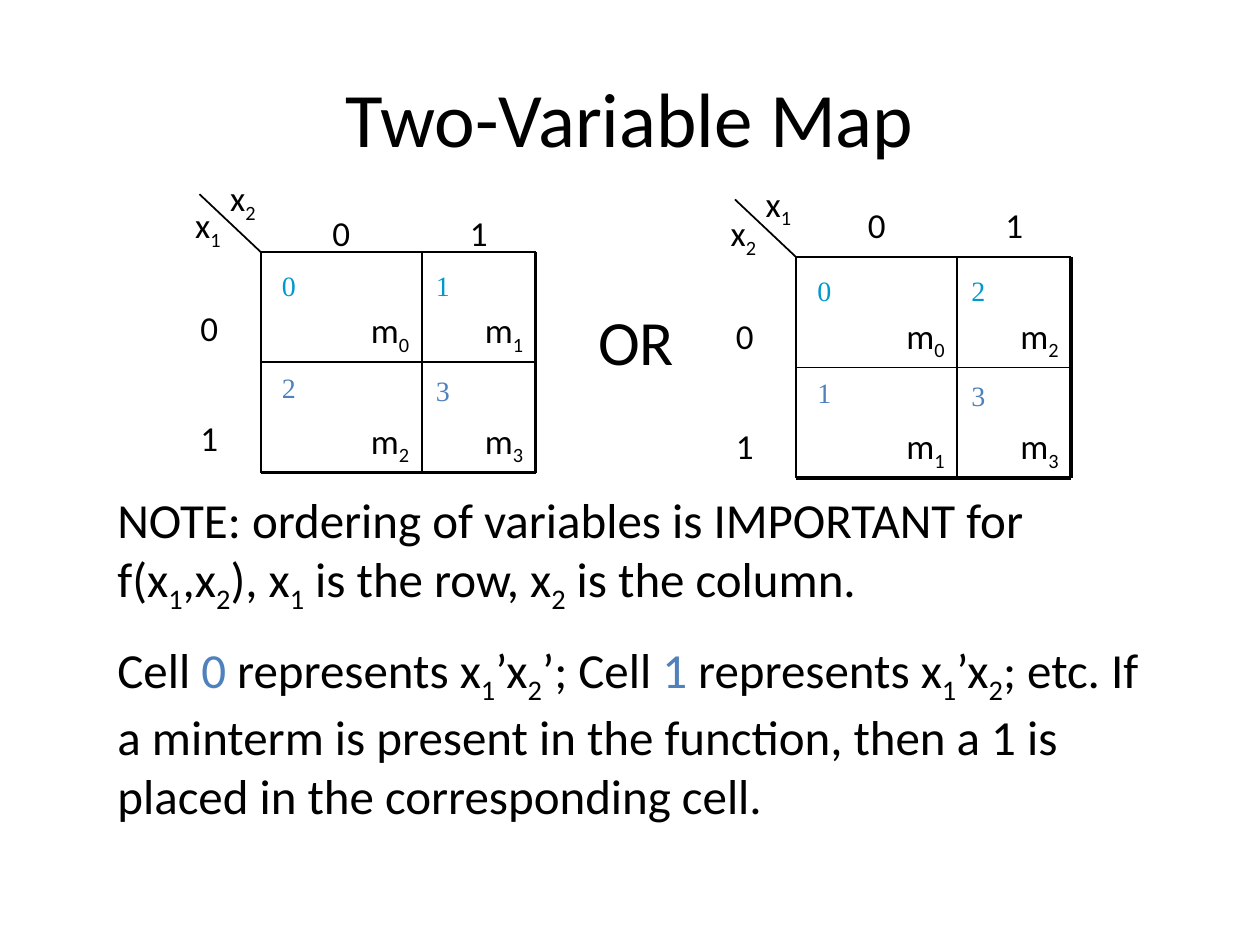
from pptx import Presentation
from pptx.dml.color import RGBColor
from pptx.enum.shapes import MSO_CONNECTOR
from pptx.enum.text import MSO_ANCHOR, MSO_AUTO_SIZE as AUTO, PP_ALIGN as ALIGN
from pptx.oxml.ns import qn
from pptx.util import Pt
from lxml import etree

BLACK, BLUE, CYAN = "000000", "4F81BD", "0099CC"
COLUMN_WIDTHS = (92, 65)
ROW_HEIGHT = 63
LABEL_INSET = 32.5  # places a label in the lower part of its box

presentation = Presentation()
presentation.slide_width, presentation.slide_height = Pt(720), Pt(540)
slide = presentation.slides.add_slide(presentation.slide_layouts[6])


def add_text(box, paragraphs, size, align=ALIGN.LEFT, font="Calibri",
             top_inset=3.6, gap=0, grow=False):
    """Each paragraph is a list of (text, colour); "_" lowers the next character."""
    left, top, width, height = box
    shape = slide.shapes.add_textbox(Pt(left), Pt(top), Pt(width), Pt(height))
    frame = shape.text_frame
    frame.word_wrap = not grow
    frame.auto_size = AUTO.SHAPE_TO_FIT_TEXT if grow else AUTO.NONE
    frame.margin_top = Pt(top_inset)
    for index, pieces in enumerate(paragraphs):
        paragraph = frame.add_paragraph() if index else frame.paragraphs[0]
        paragraph.alignment = align
        paragraph.space_before = Pt(gap if index else 0)
        for text, colour in pieces:
            first, *rest = text.split("_")
            parts = [(first, False)]
            for part in rest:
                parts += [(part[0], True), (part[1:], False)]
            for content, lowered in parts:
                if not content:
                    continue
                run = paragraph.add_run()
                run.text = content
                run.font.name, run.font.size = font, Pt(size)
                run.font.color.rgb = RGBColor.from_string(colour)
                if lowered:
                    run.font._element.set("baseline", "-25000")
    return frame


def add_line(x1, y1, x2, y2, width=1):
    line = slide.shapes.add_connector(
        MSO_CONNECTOR.STRAIGHT, Pt(x1), Pt(y1), Pt(x2), Pt(y2))
    line.line.color.rgb = RGBColor.from_string(BLACK)
    line.line.width = Pt(width)
    etree.SubElement(line._element.spPr, qn("a:effectLst"))


# Title
title = add_text((36, 21.6, 648, 90), [[("Two-Variable Map", BLACK)]], 44, ALIGN.CENTER)
title.vertical_anchor = MSO_ANCHOR.MIDDLE

# Maps: left, top, top of column heads, row labels and row variable,
# row variable, column variable, cell numbers by row
maps = [
    (149, 144, 88.5, 142.5, 84, "x_1", "x_2", ("01", "23")),
    (455, 147, 84, 147, 88.5, "x_2", "x_1", ("02", "13")),
]
for (left, top, heads_top, labels_top, variable_top,
     row_variable, column_variable, numbers) in maps:
    column_lefts = (left, left + COLUMN_WIDTHS[0])
    right, bottom = left + sum(COLUMN_WIDTHS), top + 2 * ROW_HEIGHT

    # Column heads
    for column, (x, width) in enumerate(zip(column_lefts, COLUMN_WIDTHS)):
        add_text((x, heads_top, width, ROW_HEIGHT), [[(str(column), BLACK)]], 20,
                 ALIGN.CENTER, top_inset=LABEL_INSET)

    # Row labels and cells
    for row in range(2):
        add_text((left - 59, labels_top + row * ROW_HEIGHT, 59, ROW_HEIGHT),
                 [[(str(row), BLACK)]], 20, ALIGN.CENTER, top_inset=LABEL_INSET)
        y = top + row * ROW_HEIGHT
        for column, (x, width) in enumerate(zip(column_lefts, COLUMN_WIDTHS)):
            number = numbers[row][column]
            add_text((x, y, width, ROW_HEIGHT), [[("m_" + number, BLACK)]], 20,
                     ALIGN.RIGHT, top_inset=LABEL_INSET)
            number_left = x + (5, 1)[column]
            number_top = y + ((6, 6), (1, 3))[row][column]
            add_text((number_left, number_top, 22.4, 26.6),
                     [[(number, (CYAN, BLUE)[row])]], 16,
                     font="Times New Roman", grow=True)

    # Variables on either side of the diagonal
    add_text((left - 44.6, variable_top, 59, ROW_HEIGHT), [[(row_variable, BLACK)]], 20,
             top_inset=LABEL_INSET)
    add_text((left - 24.5, top - 46.5, 33, 31), [[(column_variable, BLACK)]], 20, grow=True)
    add_line(left - 35, top - 33, left, top)

    # Grid, with heavy right and bottom edges
    for x, weight in zip((*column_lefts, right), (1, 1, 2.25)):
        add_line(x, top, x, bottom, weight)
    for y, weight in zip((top, top + ROW_HEIGHT, bottom), (1, 1, 2.25)):
        add_line(left, y, right, y, weight)

add_text((334.8, 169.2, 65.5, 50.4), [[("OR", BLACK)]], 36, grow=True)

# Notes
notes = [
    [("NOTE: ordering of variables is IMPORTANT for f(x_1,x_2), "
      "x_1 is the row, x_2 is the column.", BLACK)],
    [("Cell ", BLACK), ("0", BLUE), (" represents x_1’x_2’; Cell ", BLACK), ("1", BLUE),
     (" represents x_1’x_2; etc. If a minterm is present in the function, "
      "then a 1 is placed in the corresponding cell.", BLACK)],
]
add_text((60, 276, 600, 226), notes, 28, gap=14)

presentation.save("out.pptx")
